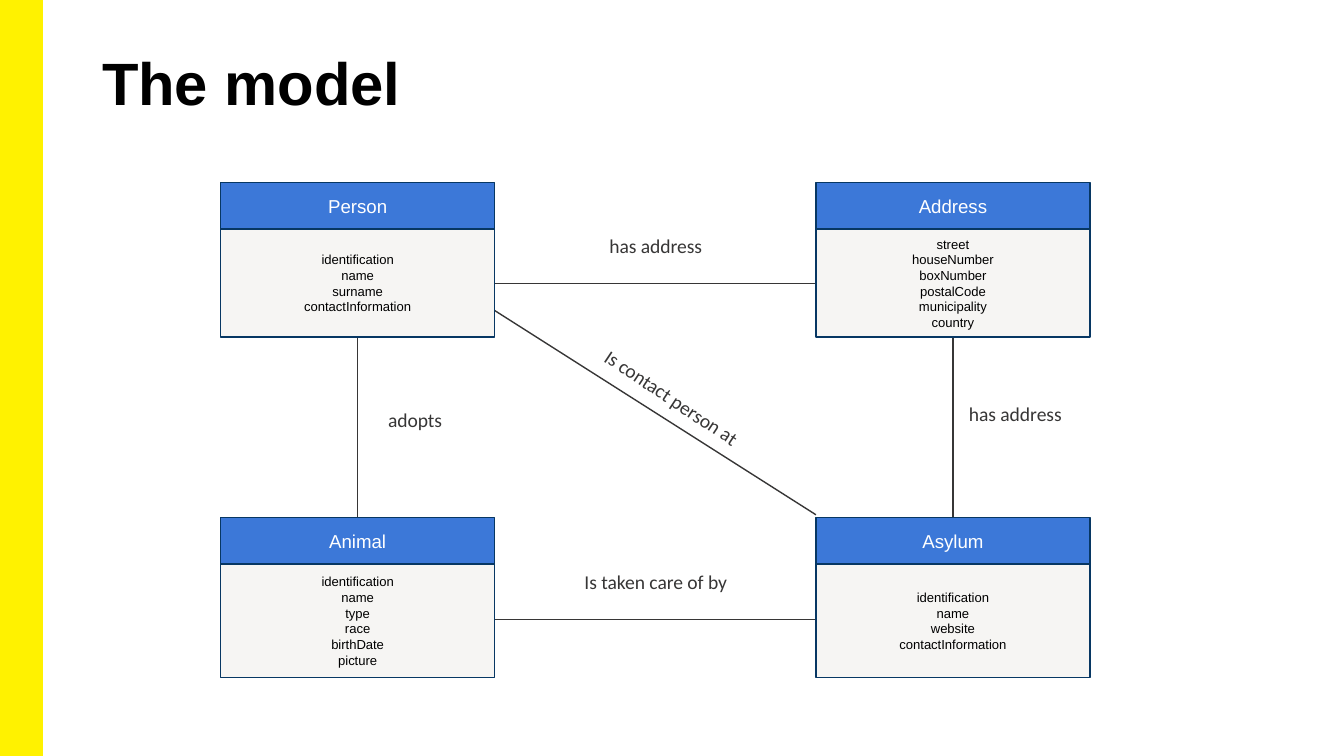
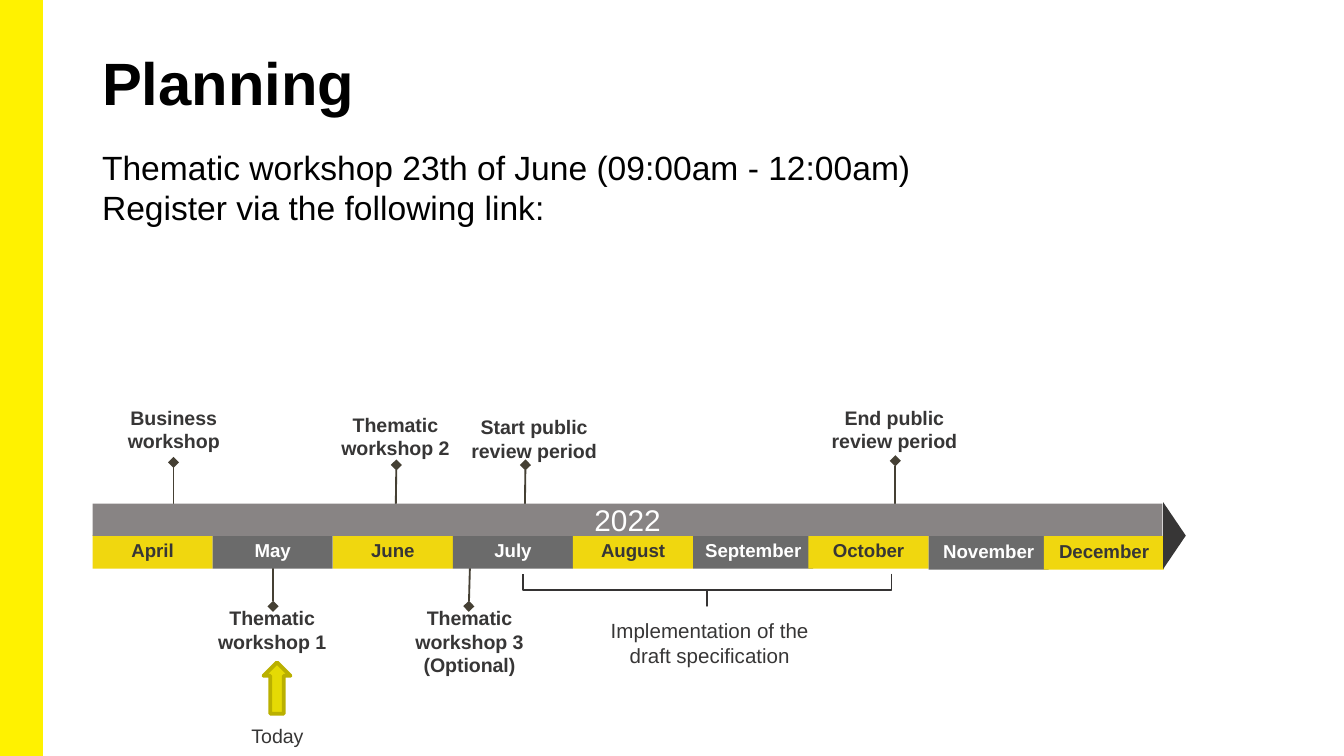
from dataclasses import dataclass

from lxml.etree import SubElement
from pptx import Presentation
from pptx.dml.color import RGBColor
from pptx.enum.shapes import MSO_CONNECTOR, MSO_SHAPE
from pptx.enum.text import MSO_ANCHOR, MSO_AUTO_SIZE, PP_ALIGN
from pptx.oxml.ns import qn
from pptx.util import Cm, Pt


# Theme
@dataclass(frozen=True)
class Theme:
    band: RGBColor = RGBColor.from_string("FFF200")
    black: RGBColor = RGBColor.from_string("000000")
    white: RGBColor = RGBColor.from_string("FFFFFF")
    ink: RGBColor = RGBColor.from_string("373636")
    entity_head: RGBColor = RGBColor.from_string("3C78D8")
    entity_body: RGBColor = RGBColor.from_string("F6F5F3")
    entity_edge: RGBColor = RGBColor.from_string("073763")
    month_yellow: RGBColor = RGBColor.from_string("F0D70F")
    month_grey: RGBColor = RGBColor.from_string("6B6B6B")
    year_bar: RGBColor = RGBColor.from_string("888484")
    stem: RGBColor = RGBColor.from_string("454034")
    brace: RGBColor = RGBColor.from_string("353333")
    today: RGBColor = RGBColor.from_string("E5DA04")
    today_edge: RGBColor = RGBColor.from_string("BAB000")
    font: str = "Arial"
    relation_font: str = "Calibri"
    title_size: float = 32
    lead_size: float = 18
    year_size: float = 16
    period_size: float = 11
    label_size: float = 10.5
    head_size: float = 10
    field_size: float = 7


THEME = Theme()
FRAME_INSETS = (0.18, 0.1, 0.18, 0.1)
ENTITY_INSETS = (0.25, 0.25, 0.25, 0.25)
MONTH_INSETS = (0.2, 0.2, 0.2, 0.25)
NO_INSETS = (0, 0, 0, 0)


def write_text(shape, text, *, size, color=THEME.ink, font=THEME.font, bold=False,
               align=PP_ALIGN.CENTER, anchor=MSO_ANCHOR.TOP, insets=NO_INSETS, grow=False):
    """Fill a shape with text, one paragraph for each line."""
    frame = shape.text_frame
    frame.word_wrap = True
    frame.auto_size = MSO_AUTO_SIZE.SHAPE_TO_FIT_TEXT if grow else MSO_AUTO_SIZE.NONE
    frame.vertical_anchor = anchor
    frame.margin_left, frame.margin_top, frame.margin_right, frame.margin_bottom = map(Cm, insets)
    frame.text = text
    for paragraph in frame.paragraphs:
        paragraph.alignment = align
        paragraph.font.size = Pt(size)
        paragraph.font.name = font
        paragraph.font.bold = bold
        paragraph.font.color.rgb = color


class Deck:
    """Holds the style and the current slide; lengths are centimetres."""

    def __init__(self, theme):
        self.theme = theme
        self.deck = Presentation()
        self.deck.slide_width, self.deck.slide_height = Cm(25.4), Cm(14.29)
        self.slide = None

    def new_slide(self, title):
        self.slide = self.deck.slides.add_slide(self.deck.slide_layouts[6])
        self.shape(MSO_SHAPE.RECTANGLE, 0, 0, 0.79, 14.29,
                   fill=self.theme.band, edge=self.theme.band, weight=1)
        self.text(title, 1.75, 0.76, 21.89, 2.03, size=self.theme.title_size, bold=True,
                  color=self.theme.black, align=PP_ALIGN.LEFT, insets=FRAME_INSETS)

    def shape(self, preset, left, top, width, height, *, fill=None, edge=None,
              weight=0.75, rotation=0, adjustments=()):
        shape = self.slide.shapes.add_shape(preset, Cm(left), Cm(top), Cm(width), Cm(height))
        shape.shadow.inherit = False
        shape.rotation = rotation
        for index, value in enumerate(adjustments):
            shape.adjustments[index] = value
        if fill is None:
            shape.fill.background()
        else:
            shape.fill.solid()
            shape.fill.fore_color.rgb = fill
        if edge is None:
            shape.line.fill.background()
        else:
            shape.line.color.rgb = edge
            shape.line.width = Pt(weight)
        return shape

    def text(self, text, left, top, width, height, *, rotation=0, **text_format):
        box = self.slide.shapes.add_textbox(Cm(left), Cm(top), Cm(width), Cm(height))
        box.rotation = rotation
        write_text(box, text, **text_format)

    def line(self, start, end, *, color, weight=0.75, diamond=None):
        """Draw a line; diamond is "headEnd" (at start) or "tailEnd" (at end)."""
        line = self.slide.shapes.add_connector(
            MSO_CONNECTOR.STRAIGHT, *map(Cm, (*start, *end)))
        line.line.color.rgb = color
        line.line.width = Pt(weight)
        if diamond:
            SubElement(line.line._get_or_add_ln(), qn(f"a:{diamond}"), type="diamond")
        SubElement(line._element.spPr, qn("a:effectLst"))

    def relation(self, name, start, end, left, top, width=3.91, rotation=0):
        self.line(start, end, color=self.theme.ink)
        self.text(name, left, top, width, 0.64, rotation=rotation,
                  size=self.theme.label_size, font=self.theme.relation_font,
                  insets=FRAME_INSETS, grow=True)

    def entity(self, name, fields, left, top, body_height):
        width, head_height = 5.18, 0.88
        parts = (
            ("\n".join(fields), top + head_height, body_height, self.theme.entity_body,
             self.theme.field_size, self.theme.black),
            (name, top, head_height, self.theme.entity_head,
             self.theme.head_size, self.theme.white),
        )
        for text, part_top, height, fill, size, color in parts:
            box = self.shape(MSO_SHAPE.RECTANGLE, left, part_top, width, height,
                             fill=fill, edge=self.theme.entity_edge)
            write_text(box, text, size=size, color=color,
                       anchor=MSO_ANCHOR.MIDDLE, insets=ENTITY_INSETS)

    def month(self, name, left, top, yellow):
        cell = self.shape(MSO_SHAPE.RECTANGLE, left, top, 2.27, 0.64,
                          fill=self.theme.month_yellow if yellow else self.theme.month_grey)
        write_text(cell, name, size=self.theme.head_size, bold=True,
                   color=self.theme.ink if yellow else self.theme.white,
                   anchor=MSO_ANCHOR.MIDDLE, insets=MONTH_INSETS)

    def save(self):
        self.deck.save("out.pptx")


def build_model(deck):
    deck.new_slide("The model")
    left_column, right_column = 4.17, 15.42
    left_edge = left_column + 5.18
    upper_row, lower_row, upper_bottom = 3.45, 9.78, 6.38

    # Relations
    deck.relation("Is taken care of by", (left_edge, 11.71), (right_column, 11.71), 10.44, 10.67)
    deck.relation("adopts", (6.76, upper_bottom), (6.76, lower_row), 5.89, 7.62)
    deck.relation("has address", (left_edge, 5.36), (right_column, 5.36), 10.44, 4.32)
    deck.relation("has address", (18.01, lower_row), (18.01, upper_bottom), 17.78, 7.49, width=2.82)
    deck.relation("Is contact person at", (left_edge, 5.87), (right_column, 9.73),
                  10.74, 7.19, rotation=33.6)

    # Entities
    deck.entity("Person", ("identification", "name", "surname", "contactInformation"),
                left_column, upper_row, 2.04)
    deck.entity("Address", ("street", "houseNumber", "boxNumber", "postalCode",
                            "municipality", "country"),
                right_column, upper_row, 2.04)
    deck.entity("Animal", ("identification", "name", "type", "race", "birthDate", "picture"),
                left_column, lower_row, 2.15)
    deck.entity("Asylum", ("identification", "name", "website", "contactInformation"),
                right_column, lower_row, 2.15)


def build_planning(deck):
    theme = deck.theme
    deck.new_slide("Planning")
    deck.text("Thematic workshop 23th of June (09:00am - 12:00am)\n"
              "Register via the following link:",
              1.75, 2.67, 21.89, 2.72, size=theme.lead_size, color=theme.black,
              align=PP_ALIGN.LEFT, insets=FRAME_INSETS)

    # Milestones: label, its left, top and height, then the stem and its diamond
    milestones = (
        ("Business workshop", 1.75, 7.67, 1.07, (3.28, 8.74), (3.28, 9.91), "headEnd"),
        ("Thematic workshop 1", 3.61, 11.46, 1.07, (5.16, 10.74), (5.16, 11.46), "tailEnd"),
        ("Thematic workshop 2", 5.94, 7.8, 0.97, (7.49, 8.79), (7.47, 10.31), "headEnd"),
        ("Thematic workshop 3 (Optional)", 7.34, 11.46, 1.07,
         (8.89, 10.39), (8.86, 11.46), "tailEnd"),
        ("Start public review period", 8.56, 7.85, 0.97, (9.93, 8.79), (9.91, 10.31), "headEnd"),
        ("End public review period", 15.37, 7.67, 1.07, (16.92, 8.71), (16.92, 10.03), "headEnd"),
    )
    for label, left, top, height, start, end, diamond in milestones:
        deck.line(start, end, color=theme.stem, weight=1, diamond=diamond)
        deck.text(label, left, top, 3.07, height, size=theme.label_size, bold=True)

    # Months, alternating in colour; October and December overlap the month before
    months = ("April", "May", "June", "July", "August",
              "September", "October", "November", "December")
    month_left = 1.75
    for index, month in enumerate(months):
        if month in ("October", "December"):
            month_left -= 0.09
        month_top = 10.13 if month in ("November", "December") else 10.11
        deck.month(month, month_left, month_top, yellow=index % 2 == 0)
        month_left += 2.27

    # Year bar and its point
    year = deck.shape(MSO_SHAPE.RECTANGLE, 1.75, 9.52, 20.22, 0.61, fill=theme.year_bar)
    write_text(year, "2022", size=theme.year_size, color=theme.white,
               anchor=MSO_ANCHOR.MIDDLE, insets=(0.25, 0.13, 0.25, 0.13))
    deck.shape(MSO_SHAPE.ISOSCELES_TRIANGLE, 21.56, 9.91, 1.27, 0.43,
               fill=theme.ink, rotation=90)

    # Implementation period
    deck.shape(MSO_SHAPE.LEFT_BRACE, 13.06, 7.67, 0.61, 6.96,
               edge=theme.brace, rotation=270, adjustments=(0, 0.5))
    deck.text("Implementation of the draft specification", 11.13, 11.68, 4.57, 1.07,
              size=theme.period_size)

    # Today
    deck.shape(MSO_SHAPE.DOWN_ARROW, 4.98, 12.52, 0.51, 0.97, fill=theme.today,
               edge=theme.today_edge, weight=2, rotation=180)
    deck.text("Today", 3.71, 13.69, 3.07, 0.48, size=theme.label_size)


def main():
    deck = Deck(THEME)
    build_model(deck)
    build_planning(deck)
    deck.save()


if __name__ == "__main__":
    main()
